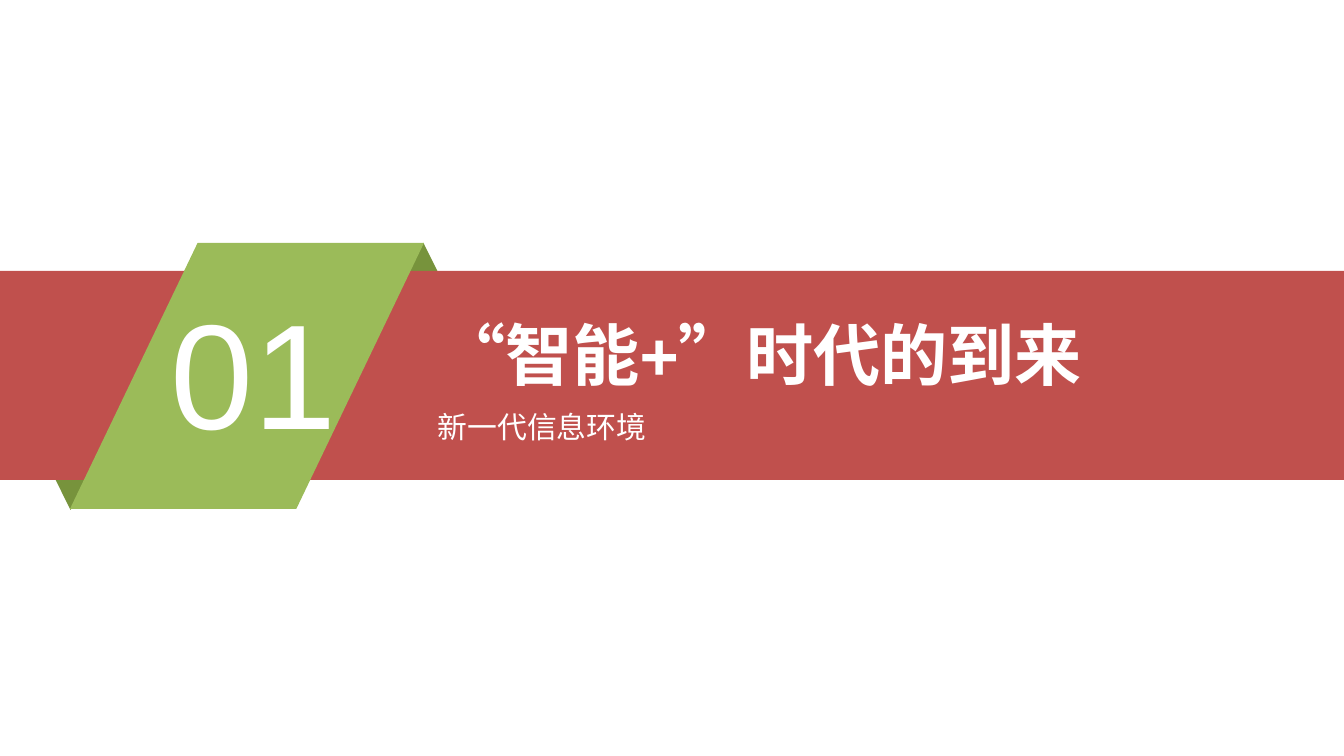
from pptx import Presentation
from pptx import util as u
from pptx.dml.color import RGBColor
from pptx.enum import shapes, text

PX = 914400 / 134.4  # EMU per px
WIDTH, HEIGHT = 1344, 756
FONT = "Arial"
COLORS = {"band": "C0504D", "ribbon": "9BBB59", "fold": "77933C", "text": "FFFFFF"}
KINDS = shapes.MSO_SHAPE

# Ribbon parts, back to front: kind, colour, left, top, width, height, rotation
PARTS = [
    (KINDS.ISOSCELES_TRIANGLE, "fold", 363, 243, 121, 122, 0),
    (KINDS.ISOSCELES_TRIANGLE, "fold", 10, 388, 121, 122, 180),
    (KINDS.RECTANGLE, "band", 0, 271, WIDTH, 209, 0),
    (KINDS.PARALLELOGRAM, "ribbon", 70, 243, 354, 266, 0),
]
SLANT = 0.48

# Texts: wording, size, bold, alignment, left, top, width, height
TEXTS = [
    ("01", 80, False, text.PP_ALIGN.CENTER, 156, 280, 195, 181),
    ("“智能+”时代的到来", 36, True, text.PP_ALIGN.LEFT, 438, 313, 742, 82),
    ("新一代信息环境", 16, False, text.PP_ALIGN.LEFT, 438, 409, 452, 36),
]


def px(*lengths):
    return [u.Emu(round(length * PX)) for length in lengths]


def color(name):
    return RGBColor.from_string(COLORS[name])


def add_part(slide, kind, fill, left, top, width, height, rotation):
    shape = slide.shapes.add_shape(kind, *px(left, top, width, height))
    shape.shadow.inherit = False
    shape.fill.solid()
    shape.fill.fore_color.rgb = color(fill)
    shape.line.fill.background()
    shape.rotation = rotation
    if kind == KINDS.PARALLELOGRAM:
        shape.adjustments[0] = SLANT


def add_text(slide, wording, size, bold, alignment, *box):
    frame = slide.shapes.add_textbox(*px(*box)).text_frame
    frame.word_wrap = True
    frame.auto_size = text.MSO_AUTO_SIZE.SHAPE_TO_FIT_TEXT
    frame.margin_left = frame.margin_right = frame.margin_top = frame.margin_bottom = 0
    paragraph = frame.paragraphs[0]
    paragraph.alignment = alignment
    run = paragraph.add_run()
    run.text = wording
    run.font.name = FONT
    run.font.size = u.Pt(size)
    run.font.bold = bold
    run.font.color.rgb = color("text")


def main():
    presentation = Presentation()
    presentation.slide_width, presentation.slide_height = px(WIDTH, HEIGHT)
    slide = presentation.slides.add_slide(presentation.slide_layouts[6])
    for part in PARTS:
        add_part(slide, *part)
    for item in TEXTS:
        add_text(slide, *item)
    presentation.save("out.pptx")


if __name__ == "__main__":
    main()
